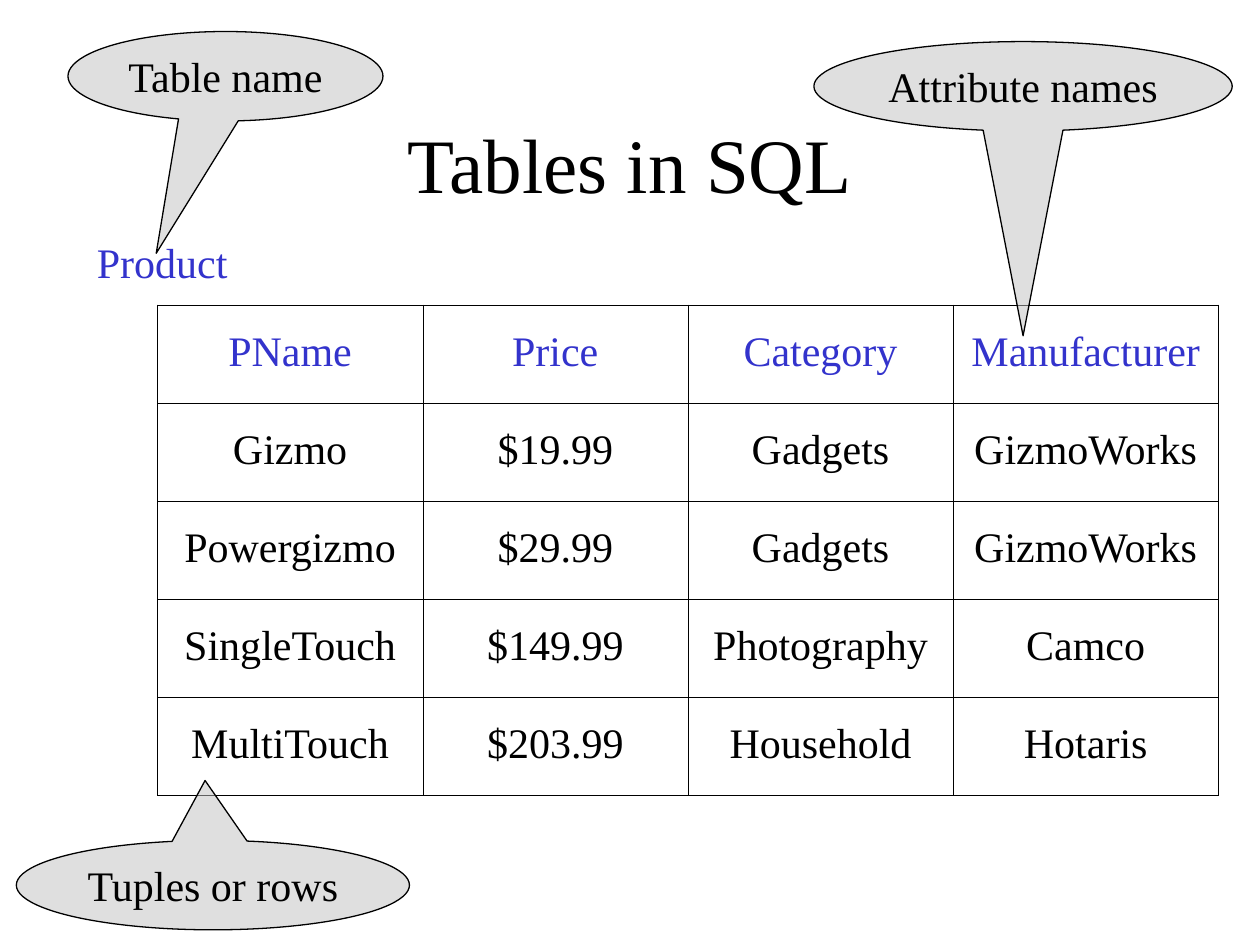
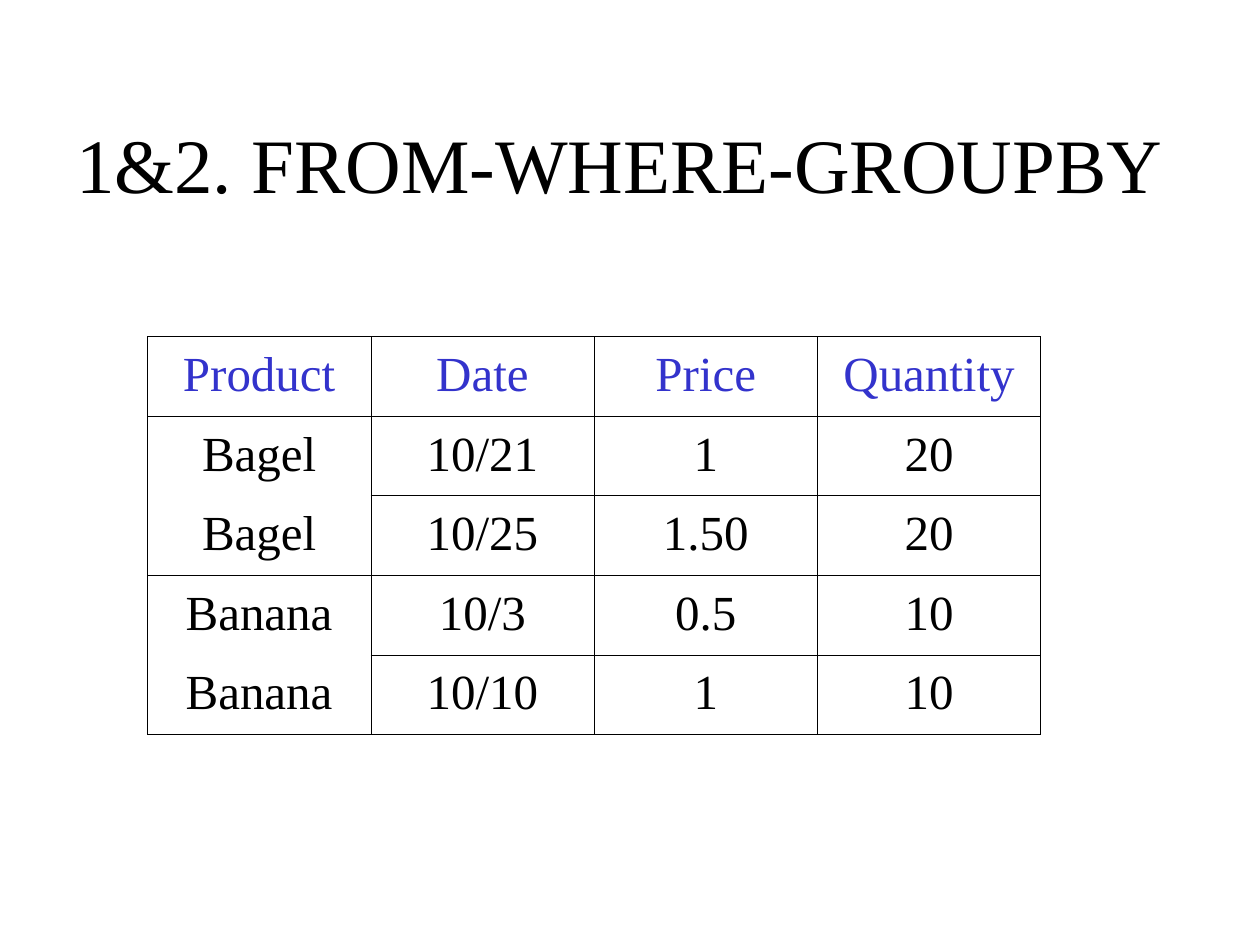
from dataclasses import dataclass

from lxml.etree import SubElement
from pptx import Presentation
from pptx.dml.color import RGBColor
from pptx.enum.shapes import MSO_SHAPE
from pptx.enum.text import MSO_ANCHOR, MSO_AUTO_SIZE, PP_ALIGN
from pptx.oxml.ns import qn
from pptx.util import Inches, Pt


@dataclass(frozen=True)
class Theme:
    """Colours, type sizes and line widths shared by the slides."""

    font: str = "Times New Roman"
    ink: str = "000000"
    accent: str = "3333CC"
    callout: str = "C0C0C0"
    callout_opacity: int = 50
    title_size: int = 44
    label_size: int = 24
    large_table_size: int = 28
    frame_width: float = 0.5
    grid_width: float = 0.23
    callout_width: float = 0.75


THEME = Theme()

PRODUCTS = [
    ("PName", "Price", "Category", "Manufacturer"),
    ("Gizmo", "$19.99", "Gadgets", "GizmoWorks"),
    ("Powergizmo", "$29.99", "Gadgets", "GizmoWorks"),
    ("SingleTouch", "$149.99", "Photography", "Camco"),
    ("MultiTouch", "$203.99", "Household", "Hotaris"),
]
PURCHASES = [
    ("Product", "Date", "Price", "Quantity"),
    ("Bagel", "10/21", "1", "20"),
    ("Bagel", "10/25", "1.50", "20"),
    ("Banana", "10/3", "0.5", "10"),
    ("Banana", "10/10", "1", "10"),
]
CALLOUTS = [
    ("Attribute names", (6.46, 0.33, 3.32, 0.71), (0, 2.79)),
    ("Table name", (0.54, 0.25, 2.5, 0.71), (-0.22, 1.98)),
    ("Tuples or rows", (0.13, 6.67, 3.12, 0.71), (-0.02, -1.17)),
]


def place(box):
    """Turn a box in inches into slide lengths."""
    return [Inches(length) for length in box]


def set_text(frame, text, size, color, align=PP_ALIGN.CENTER):
    """Write one paragraph in the shared font."""
    frame.text = text
    para = frame.paragraphs[0]
    para.alignment = align
    para.space_before = para.space_after = Pt(0.1)
    span = para.runs[0]
    span.font.name = THEME.font
    span.font.size = Pt(size)
    span.font.color.rgb = RGBColor.from_string(color)
    return para


def fit_to_text(frame):
    """Keep the text on one line and let its shape grow around it."""
    frame.word_wrap = False
    frame.auto_size = MSO_AUTO_SIZE.SHAPE_TO_FIT_TEXT
    frame.vertical_anchor = MSO_ANCHOR.TOP


def add_page(deck, title, box):
    """Add a slide with its centred title."""
    page = deck.slides.add_slide(deck.slide_layouts[5])
    heading = page.shapes.title
    heading.left, heading.top, heading.width, heading.height = place(box)
    heading.text_frame.vertical_anchor = MSO_ANCHOR.MIDDLE
    set_text(heading.text_frame, title, THEME.title_size, THEME.ink)
    return page


def set_borders(cell, widths):
    """Draw the cell's sides, leaving out those of width zero."""
    properties = cell._tc.get_or_add_tcPr()
    for side in "LRTB":
        width = widths[side]
        line = SubElement(properties, qn(f"a:ln{side}"), w=str(Pt(width)))
        if width:
            fill = SubElement(line, qn("a:solidFill"))
            SubElement(fill, qn("a:srgbClr"), val=THEME.ink)
        else:
            SubElement(line, qn("a:noFill"))


def add_grid(page, rows, box, size, space_before, header_width, joined_rows=()):
    """Add an even ruled table; joined rows have no line below their first cell."""
    row_count, column_count = len(rows), len(rows[0])
    table = page.shapes.add_table(row_count, column_count, *place(box)).table
    table.first_row = table.horz_banding = False

    def row_line(edge, column):
        """Give the width of the line above the row numbered edge."""
        if edge in (0, row_count):
            return THEME.frame_width
        if column == 0 and edge - 1 in joined_rows:
            return 0
        return header_width if edge == 1 else THEME.grid_width

    def column_line(edge):
        """Give the width of the line left of the column numbered edge."""
        return THEME.frame_width if edge in (0, column_count) else THEME.grid_width

    for row, values in enumerate(rows):
        for column, value in enumerate(values):
            cell = table.cell(row, column)
            cell.vertical_anchor = MSO_ANCHOR.MIDDLE
            color = THEME.ink if row else THEME.accent
            para = set_text(cell.text_frame, value, size, color)
            para.line_spacing = 0.93
            para.space_before = Pt(space_before)
            set_borders(cell, {
                "L": column_line(column),
                "R": column_line(column + 1),
                "T": row_line(row, column),
                "B": row_line(row + 1, column),
            })
            cell.fill.background()


def add_label(page, text, box):
    """Add the name that stands above a table."""
    label = page.shapes.add_textbox(*place(box))
    fit_to_text(label.text_frame)
    set_text(label.text_frame, text, THEME.label_size, THEME.accent, PP_ALIGN.LEFT)


def add_callout(page, text, box, tip):
    """Add a see-through oval callout; tip is relative to its centre and size."""
    callout = page.shapes.add_shape(MSO_SHAPE.OVAL_CALLOUT, *place(box))
    callout.adjustments[0], callout.adjustments[1] = tip
    callout.shadow.inherit = False
    callout.fill.solid()
    callout.fill.fore_color.rgb = RGBColor.from_string(THEME.callout)
    tint = callout._element.spPr.find(qn("a:solidFill")).find(qn("a:srgbClr"))
    SubElement(tint, qn("a:alpha"), val=str(THEME.callout_opacity * 1000))
    callout.line.color.rgb = RGBColor.from_string(THEME.ink)
    callout.line.width = Pt(THEME.callout_width)
    fit_to_text(callout.text_frame)
    set_text(callout.text_frame, text, THEME.label_size, THEME.ink)


def add_tables_page(deck):
    """Show the parts of a table, named by callouts."""
    page = add_page(deck, "Tables in SQL", (0.75, 0.67, 8.5, 1.25))
    add_grid(page, PRODUCTS, (1.25, 2.42, 8.42, 3.89), THEME.label_size,
             space_before=6.1, header_width=THEME.frame_width)
    add_label(page, "Product", (0.67, 1.83, 1.25, 0.5))
    for text, box, tip in CALLOUTS:
        add_callout(page, text, box, tip)


def add_grouping_page(deck):
    """Show the purchases grouped by product."""
    page = add_page(deck, "1&2. FROM-WHERE-GROUPBY", (0.42, 0.67, 9, 1.25))
    joined_rows = [row for row in range(1, len(PURCHASES) - 1)
                   if PURCHASES[row][0] == PURCHASES[row + 1][0]]
    add_grid(page, PURCHASES, (1.17, 2.67, 7.09, 3.16), THEME.large_table_size,
             space_before=7.1, header_width=THEME.grid_width, joined_rows=joined_rows)


def main():
    """Build and save the deck."""
    deck = Presentation()
    deck.slide_width, deck.slide_height = Inches(10), Inches(7.5)
    add_tables_page(deck)
    add_grouping_page(deck)
    deck.save("out.pptx")


if __name__ == "__main__":
    main()
